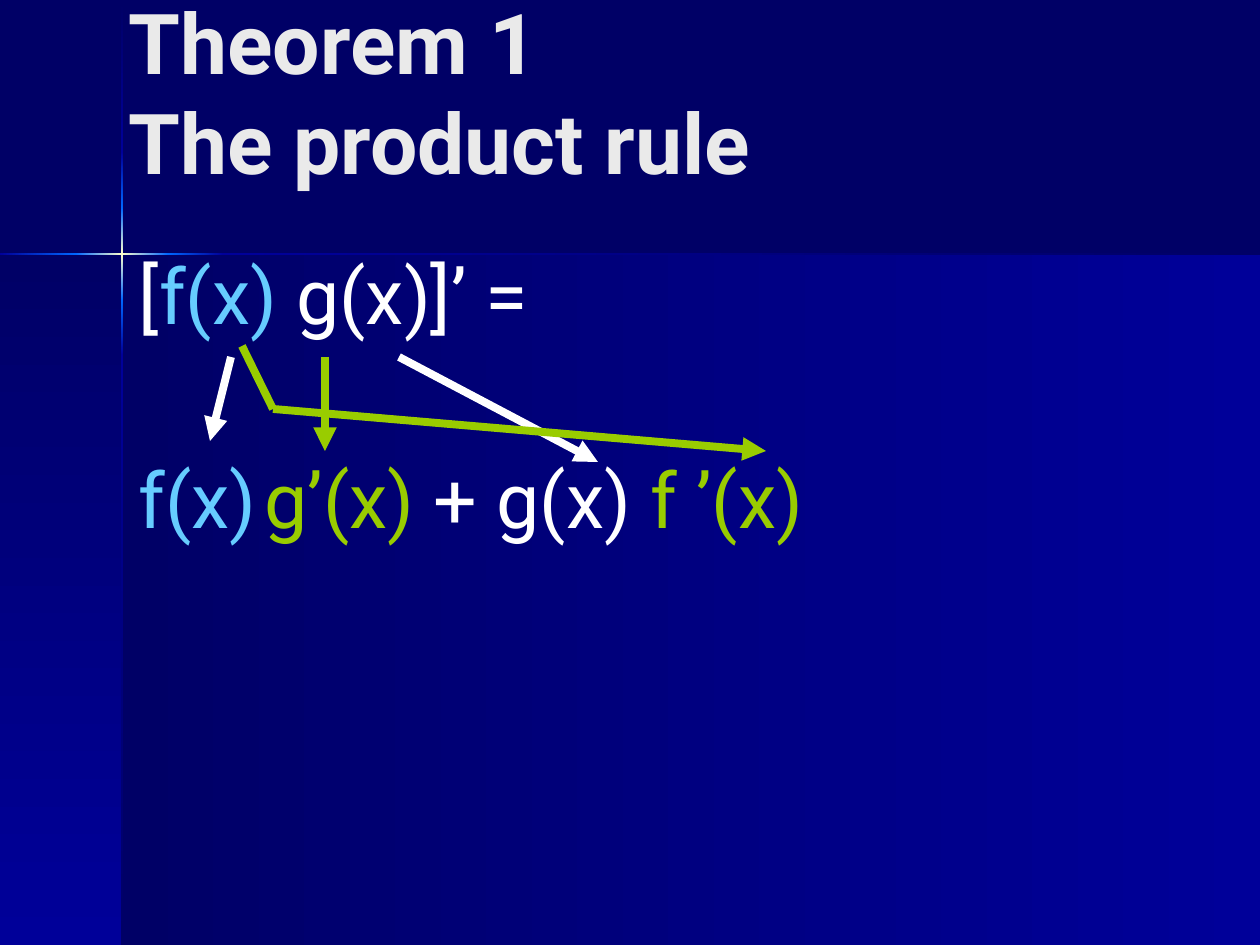
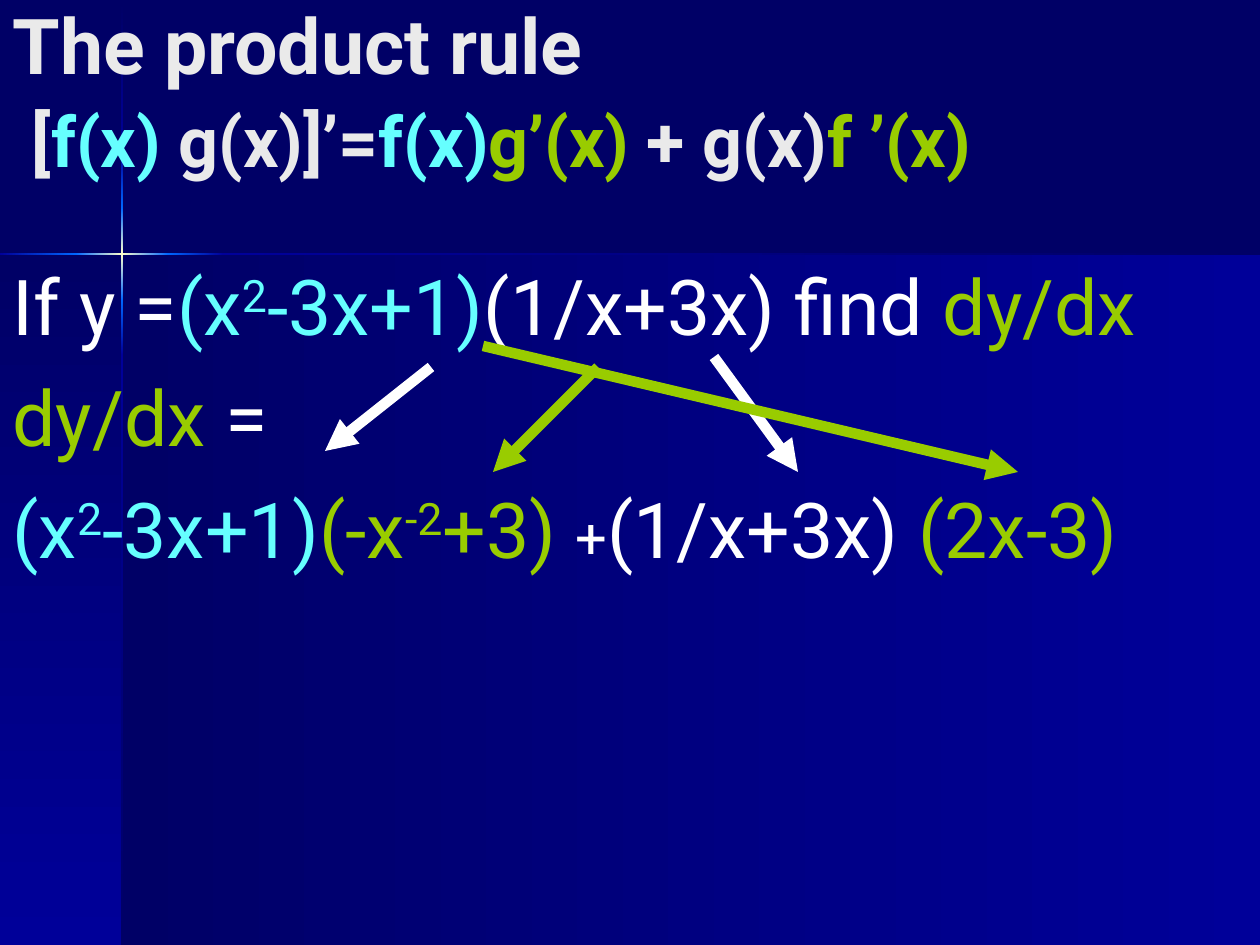
import itertools
from typing import Any, NamedTuple

import lxml.etree
import pptx
import pptx.dml.color
import pptx.enum.shapes
import pptx.enum.text
import pptx.oxml.ns
import pptx.util

PX = 914400 / 126
WIDTH, HEIGHT = 1260, 945
FONT = "Roboto"
NAVY, BLUE, BRIGHT, GLOW = "000066", "000099", "0066FF", "FFFFCC"
WHITE, PALE, GREEN, SKY, CYAN = "FFFFFF", "EAEAEA", "99CC00", "66CCFF", "66FFFF"
RIGHT_TO_LEFT, DOWN = 180, 270
CROSS_X, CROSS_Y = 122, 254
qn = pptx.oxml.ns.qn


class Box(NamedTuple):
    left: int
    top: int
    width: int
    height: int


class Run(NamedTuple):
    text: str
    color: str
    size: int = 44
    baseline: int = 0


class Para(NamedTuple):
    runs: list[Run]
    before: int = 0
    spacing: float = 1.0
    tab: int = 0


class Arrow(NamedTuple):
    start: tuple[int, int]
    end: tuple[int, int]
    color: str
    head: bool = True


class RuleSlide(NamedTuple):
    title_box: Box
    title: list[Para]
    body_box: Box
    body: list[Para]
    arrows: list[Arrow]
    arrow_width: float


def px(n: int) -> int:
    return round(n * PX)


def rgb(color: str) -> pptx.dml.color.RGBColor:
    return pptx.dml.color.RGBColor.from_string(color)


def apply(target: Any, values: dict[str, Any]) -> None:
    for name, value in values.items():
        setattr(target, name, value)


def add_band(slide: Any, box: Box, colors: list[str], angle: int) -> Any:
    """Draw a rectangle whose gradient has evenly spaced colours."""
    sp = slide.shapes.add_shape(pptx.enum.shapes.MSO_SHAPE.RECTANGLE, *map(px, box))
    sp.shadow.inherit = False
    sp.line.fill.background()
    sp.fill.gradient()
    sp.fill.gradient_angle = angle
    stops = next(sp.element.iter(qn("a:gsLst")))
    for stop in list(stops):
        stops.remove(stop)
    for i, color in enumerate(colors):
        stop = lxml.etree.SubElement(stops, qn("a:gs"), pos=str(i * 100000 // (len(colors) - 1)))
        lxml.etree.SubElement(stop, qn("a:srgbClr"), val=color)
    return sp


def decorate_master(prs: Any, slide: Any) -> None:
    """Put the background, panels and glowing cross on the slide master."""
    master = prs.slide_master
    master.background.fill.solid()
    master.background.fill.fore_color.rgb = rgb(NAVY)
    below = HEIGHT - CROSS_Y
    bands = [
        add_band(slide, Box(CROSS_X, CROSS_Y, WIDTH - CROSS_X, below), [BLUE, NAVY], RIGHT_TO_LEFT),
        add_band(slide, Box(0, CROSS_Y, CROSS_X, below), [NAVY, BLUE], DOWN),
    ]
    center = [BRIGHT, GLOW, BRIGHT]
    columns = [[NAVY, BLUE], [BLUE, BRIGHT], center, [BRIGHT, BLUE], [BLUE, NAVY]]
    for (top, end), colors in zip(itertools.pairwise([1, 152, 208, 300, 355, HEIGHT]), columns):
        bands.append(add_band(slide, Box(CROSS_X - 1, top, 2, end - top), colors, DOWN))
    rows = [[BRIGHT, BLUE], center, [BLUE, BRIGHT], [NAVY, BLUE]]
    for (left, end), colors in zip(itertools.pairwise([0, 76, 168, 223, WIDTH]), rows):
        bands.append(add_band(slide, Box(left, CROSS_Y - 1, end - left, 2), colors, RIGHT_TO_LEFT))
    for i, sp in enumerate(bands):
        master.shapes.element.insert(2 + i, sp.element)


def fill_text(sp: Any, box: Box, paras: list[Para], bold: bool, anchor: Any) -> None:
    apply(sp, dict(zip(box._fields, map(px, box))))
    tf = sp.text_frame
    apply(tf, {"word_wrap": True, "vertical_anchor": anchor,
               "auto_size": pptx.enum.text.MSO_AUTO_SIZE.NONE})
    for i, para in enumerate(paras):
        p = tf.add_paragraph() if i else tf.paragraphs[0]
        apply(p, {"alignment": pptx.enum.text.PP_ALIGN.LEFT, "line_spacing": para.spacing,
                  "space_before": pptx.util.Pt(para.before)})
        if para.tab:
            tabs = lxml.etree.SubElement(p._p.get_or_add_pPr(), qn("a:tabLst"))
            lxml.etree.SubElement(tabs, qn("a:tab"), pos=str(px(para.tab)), algn="l")
        for run in para.runs:
            if run.text == "\n":
                p.add_line_break()
                continue
            r = p.add_run()
            r.text = run.text
            apply(r.font, {"name": FONT, "size": pptx.util.Pt(run.size), "bold": bold})
            r.font.color.rgb = rgb(run.color)
            if run.baseline:
                r._r.get_or_add_rPr().set("baseline", str(run.baseline * 1000))


def add_arrow(slide: Any, arrow: Arrow, width: float) -> None:
    line = slide.shapes.add_connector(pptx.enum.shapes.MSO_CONNECTOR.STRAIGHT,
                                      *map(px, arrow.start + arrow.end))
    line.line.width = pptx.util.Pt(width)
    line.line.color.rgb = rgb(arrow.color)
    if arrow.head:
        ln = next(line.element.iter(qn("a:ln")))
        lxml.etree.SubElement(ln, qn("a:tailEnd"), type="triangle")
    lxml.etree.SubElement(line.element.spPr, qn("a:effectLst"))


def fill_slide(slide: Any, content: RuleSlide) -> None:
    anchors = pptx.enum.text.MSO_ANCHOR
    fill_text(slide.shapes.title, content.title_box, content.title, True, anchors.BOTTOM)
    fill_text(slide.placeholders[1], content.body_box, content.body, False, anchors.TOP)
    for arrow in content.arrows:
        add_arrow(slide, arrow, content.arrow_width)


BREAK = Run("\n", PALE)
QUADRATIC = [Run("(x", CYAN), Run("2", CYAN, baseline=30), Run("-3x+1)", CYAN)]

THEOREM = RuleSlide(
    title_box=Box(116, 0, 1113, 198),
    title=[Para([Run("Theorem 1", PALE, 48), BREAK, Run("The product rule", PALE, 48)])],
    body_box=Box(126, 252, 1050, 325),
    body=[
        Para([Run("[", WHITE), Run("f(x)", SKY), Run(" g(x)]’ =", WHITE)], spacing=0.9),
        Para([Run("f(x)\t", SKY), Run("g’(x)", GREEN), Run(" + g(x) ", WHITE),
              Run("f ’(x)", GREEN)], before=69, spacing=0.9, tab=156),
    ],
    arrows=[
        Arrow((231, 357), (210, 441), WHITE),
        Arrow((399, 357), (598, 462), WHITE),
        Arrow((325, 357), (325, 451), GREEN),
        Arrow((242, 346), (273, 409), GREEN, head=False),
        Arrow((273, 409), (766, 451), GREEN),
    ],
    arrow_width=4.5,
)

EXAMPLE = RuleSlide(
    title_box=Box(0, 0, 1239, 189),
    title=[Para([
        Run("The product rule", PALE), BREAK, Run(" ", PALE), Run("[", PALE, 40),
        Run("f(x)", CYAN, 40), Run(" g(x)]’=", PALE, 40), Run("f(x)", CYAN, 40),
        Run("g’(x)", GREEN, 40), Run(" + g(x)", PALE, 40), Run("f ’(x)", GREEN, 40),
    ])],
    body_box=Box(0, 252, 1260, 357),
    body=[
        Para([Run("If y =", WHITE), *QUADRATIC, Run("(1/x+3x) find ", WHITE),
              Run("dy/dx", GREEN)]),
        Para([Run("dy/dx", GREEN), Run(" =", WHITE)], before=11),
        Para([*QUADRATIC, Run("(-x", GREEN), Run("-2", GREEN, baseline=30),
              Run("+3) ", GREEN), Run("+", WHITE, 32), Run("(1/x+3x) ", WHITE),
              Run("(2x-3)", GREEN)], before=11),
    ],
    arrows=[
        Arrow((431, 367), (325, 451), WHITE),
        Arrow((714, 357), (798, 472), WHITE),
        Arrow((598, 367), (493, 472), GREEN),
        Arrow((483, 346), (1018, 472), GREEN),
    ],
    arrow_width=6,
)


def main() -> None:
    prs = pptx.Presentation()
    apply(prs, {"slide_width": px(WIDTH), "slide_height": px(HEIGHT)})
    for i, content in enumerate([THEOREM, EXAMPLE]):
        slide = prs.slides.add_slide(prs.slide_layouts[0])
        if i == 0:
            decorate_master(prs, slide)
        fill_slide(slide, content)
    prs.save("out.pptx")


if __name__ == "__main__":
    main()
